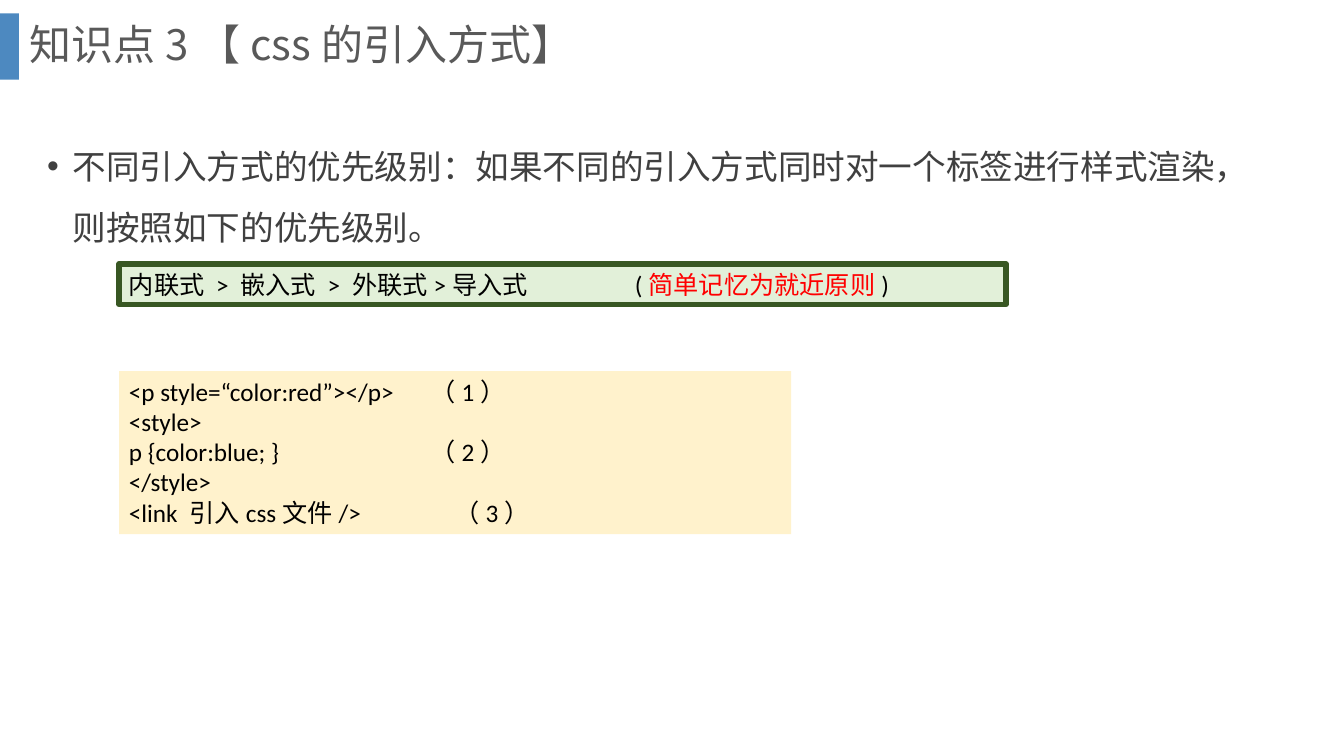
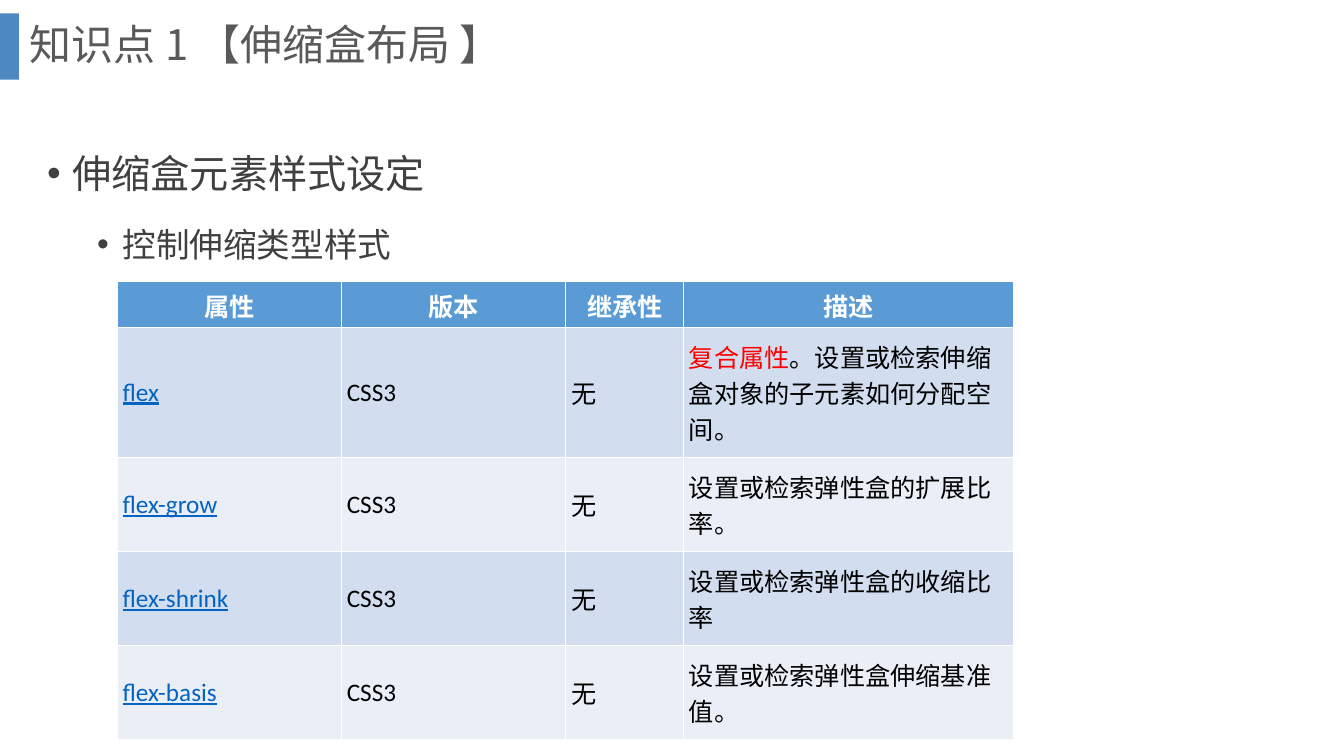
from lxml.etree import SubElement
from pptx import Presentation
from pptx.dml.color import RGBColor
from pptx.enum.shapes import MSO_SHAPE
from pptx.enum.text import MSO_ANCHOR, MSO_AUTO_SIZE, PP_ALIGN
from pptx.oxml.ns import qn
from pptx.util import Cm, Pt

CJK_FONT, LATIN_FONT = "Noto Sans CJK SC", "Calibri"
TITLE_GREY, BODY_GREY = "595959", "404040"
BLACK, WHITE, RED, LINK_BLUE = "000000", "FFFFFF", "FF0000", "0563C1"
BAR_BLUE, HEADER_BLUE = "2E75B6", "5B9BD5"
BAND_FILLS = ("D2DEEF", "EAEFF7")
RULE_FILL, RULE_LINE, CODE_FILL = "E2F0D9", "385723", "FFF2CC"

BODY_BOX = (0.94, 3.05, 30.61, 13.87)
BULLET_HANG = 0.64
BULLET_LEFTS = (0.64, 1.9)
BULLET_SPACES = (10, 5)


def rgb(value):
    return RGBColor.from_string(value)


def place(shape, box):
    shape.left, shape.top, shape.width, shape.height = (Cm(length) for length in box)


def style_span(span, size, color, latin=LATIN_FONT, east_asian=CJK_FONT,
               bold=False, underline=False):
    font = span.font
    font.name, font.size = latin, Pt(size)
    font.bold, font.underline = bold, underline
    font.color.rgb = rgb(color)
    if east_asian:
        SubElement(span._r.get_or_add_rPr(), qn("a:ea")).set("typeface", east_asian)


def write_spans(para, spans, size, **style):
    """Fill a paragraph with (text, colour) pairs."""
    for text, color in spans:
        span = para.add_run()
        span.text = text
        style_span(span, size, color, **style)


def set_tab(para, position):
    tabs = SubElement(para._p.get_or_add_pPr(), qn("a:tabLst"))
    tab = SubElement(tabs, qn("a:tab"))
    tab.set("pos", str(Cm(position)))
    tab.set("algn", "l")


def add_panel(page, box, fill, line=None):
    panel = page.shapes.add_shape(MSO_SHAPE.RECTANGLE, *(Cm(length) for length in box))
    panel.shadow.inherit = False
    panel.fill.solid()
    panel.fill.fore_color.rgb = rgb(fill)
    if line:
        panel.line.color.rgb = rgb(line)
        panel.line.width = Pt(4)
    else:
        panel.line.fill.background()
    return panel


def add_page(deck, heading):
    """Add a slide with the accent bar and its title."""
    page = deck.slides.add_slide(deck.slide_layouts[5])
    bar = add_panel(page, (0, 0.34, 0.48, 1.67), BAR_BLUE)
    color = bar.fill._xPr.find(qn("a:solidFill"))[0]
    SubElement(color, qn("a:alpha")).set("val", "85000")

    title = page.shapes.title
    place(title, (0.48, 0, 32.16, 2.36))
    frame = title.text_frame
    frame.text = heading
    frame.auto_size = MSO_AUTO_SIZE.NONE
    frame.vertical_anchor = MSO_ANCHOR.MIDDLE
    para = frame.paragraphs[0]
    para.alignment, para.line_spacing = PP_ALIGN.LEFT, 0.9
    style_span(para.runs[0], 30, TITLE_GREY, latin=CJK_FONT)
    return page


def add_bullets(page, box, items):
    """Add (text, level, size) items as a bulleted list."""
    frame = page.shapes.add_textbox(*(Cm(length) for length in box)).text_frame
    frame.word_wrap = True
    for index, (text, level, size) in enumerate(items):
        para = frame.add_paragraph() if index else frame.paragraphs[0]
        para.text = text
        para.level = level
        para.line_spacing, para.space_before = 1.5, Pt(BULLET_SPACES[level])
        properties = para._p.get_or_add_pPr()
        properties.set("marL", str(Cm(BULLET_LEFTS[level])))
        properties.set("indent", str(-Cm(BULLET_HANG)))
        SubElement(properties, qn("a:buFont")).set("typeface", "Arial")
        SubElement(properties, qn("a:buChar")).set("char", "•")
        style_span(para.runs[0], size, BODY_GREY, latin=CJK_FONT)


def add_text_panel(page, box, fill, lines, line=None):
    """Add a filled box of (spans, tab position) lines."""
    frame = add_panel(page, box, fill, line).text_frame
    frame.word_wrap = True
    frame.vertical_anchor = MSO_ANCHOR.TOP
    for index, (spans, tab) in enumerate(lines):
        para = frame.add_paragraph() if index else frame.paragraphs[0]
        para.alignment = PP_ALIGN.LEFT
        if tab:
            set_tab(para, tab)
        write_spans(para, spans, 18, east_asian=None)


def fill_cell(cell, spans, fill, margin, alignment=PP_ALIGN.LEFT, **style):
    cell.fill.solid()
    cell.fill.fore_color.rgb = rgb(fill)
    cell.vertical_anchor = MSO_ANCHOR.MIDDLE
    cell.margin_left = cell.margin_right = Cm(0.13)
    cell.margin_top = cell.margin_bottom = Cm(margin)
    para = cell.text_frame.paragraphs[0]
    para.alignment = alignment
    write_spans(para, spans, 18, **style)


def add_property_table(page, left, top, widths, heights, headers, entries):
    """Add a table of (property, description spans) entries under a header row."""
    table = page.shapes.add_table(
        len(heights), len(widths), Cm(left), Cm(top),
        Cm(sum(widths)), Cm(sum(heights))).table
    for column, width in zip(table.columns, widths):
        column.width = Cm(width)
    for row, height in zip(table.rows, heights):
        row.height = Cm(height)
    for column, header in enumerate(headers):
        fill_cell(table.cell(0, column), [(header, WHITE)], HEADER_BLUE, 0.13,
                  PP_ALIGN.CENTER, bold=True)
    for row, (name, description) in enumerate(entries, 1):
        cells = ([(name, LINK_BLUE)], [("CSS3", BLACK)], [("无", BLACK)], description)
        for column, spans in enumerate(cells):
            fill_cell(table.cell(row, column), spans, BAND_FILLS[(row - 1) % 2], 0.25,
                      underline=column == 0)


def build_priority_page(deck):
    page = add_page(deck, "知识点3【css的引入方式】")
    add_bullets(page, BODY_BOX, [
        ("不同引入方式的优先级别：如果不同的引入方式同时对一个标签进行样式渲染，"
         "则按照如下的优先级别。", 0, 24),
    ])
    add_text_panel(page, (3, 6.65, 22.35, 1.02), RULE_FILL, [
        ([("内联式 > 嵌入式 > 外联式>导入式\t(", BLACK),
          ("简单记忆为就近原则", RED), (")", BLACK)], 12.75),
    ], line=RULE_LINE)
    code = [
        ("<p style=“color:red”></p>\t（1）", 7.6),
        ("<style>", None),
        ("p {color:blue; }\t（2）", 7.6),
        ("</style>", None),
        ("<link 引入css文件/>\t（3）", 8.2),
    ]
    add_text_panel(page, (3, 9.35, 16.94, 4.11), CODE_FILL,
                   [([(text, BLACK)], tab) for text, tab in code])


def build_flex_page(deck):
    page = add_page(deck, "知识点1【伸缩盒布局 】")
    add_bullets(page, BODY_BOX, [
        ("伸缩盒元素样式设定", 0, 28),
        ("控制伸缩类型样式", 1, 24),
    ])
    add_property_table(
        page, 2.96, 7.1, (5.65, 5.65, 2.97, 8.31), (1.15, 3.28, 2.37, 2.37, 2.37),
        ("属性", "版本", "继承性", "描述"),
        [
            ("flex", [("复合属性", RED),
                      ("。设置或检索伸缩盒对象的子元素如何分配空间。", BLACK)]),
            ("flex-grow", [("设置或检索弹性盒的扩展比率。", BLACK)]),
            ("flex-shrink", [("设置或检索弹性盒的收缩比率", BLACK)]),
            ("flex-basis", [("设置或检索弹性盒伸缩基准值。", BLACK)]),
        ])


def main():
    deck = Presentation()
    deck.slide_width, deck.slide_height = Cm(33.87), Cm(19.05)
    build_priority_page(deck)
    build_flex_page(deck)
    deck.save("out.pptx")


if __name__ == "__main__":
    main()
